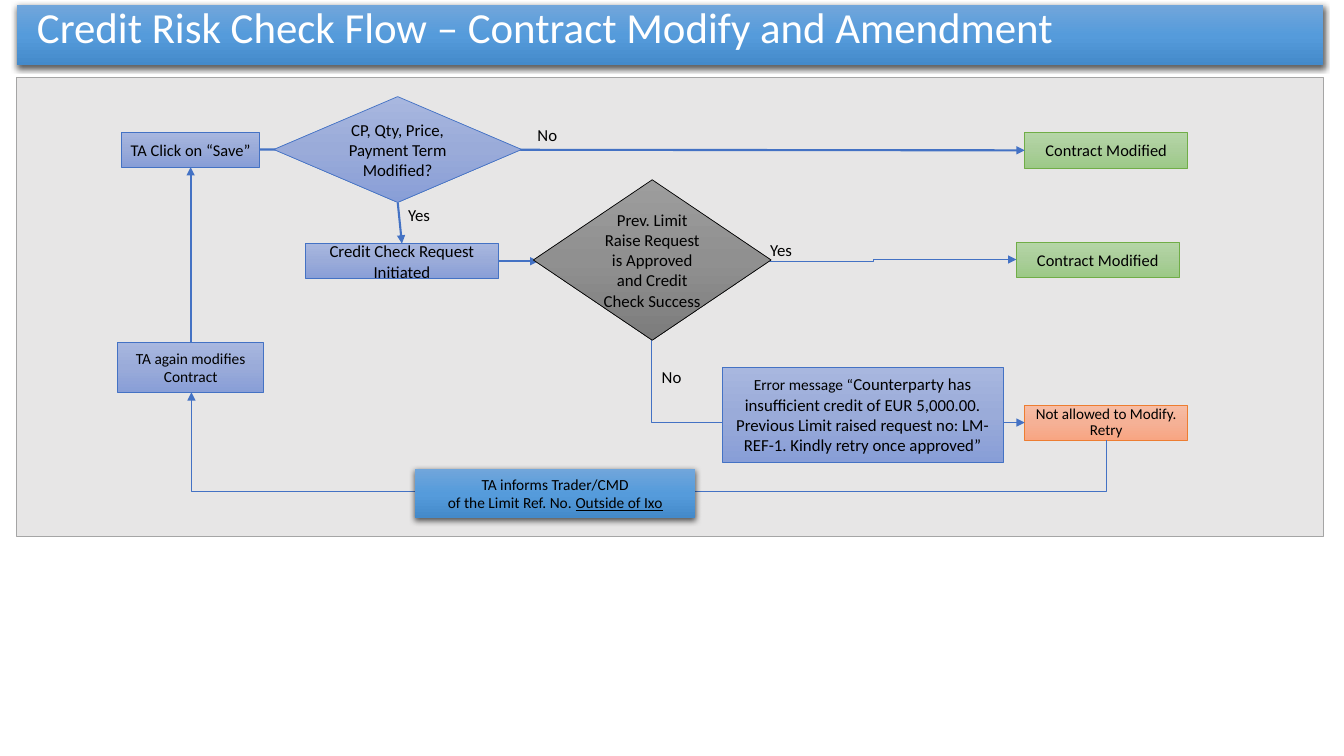
import copy
import typing
from dataclasses import dataclass

import lxml.etree
import pptx
import pptx.dml.color
import pptx.enum.shapes
import pptx.enum.text
import pptx.oxml.ns
import pptx.util

qn = pptx.oxml.ns.qn
SHAPE = pptx.enum.shapes.MSO_SHAPE
CONNECTOR = pptx.enum.shapes.MSO_CONNECTOR
ALIGN = pptx.enum.text.PP_ALIGN
ANCHOR = pptx.enum.text.MSO_ANCHOR
AUTO_SIZE = pptx.enum.text.MSO_AUTO_SIZE

# Grid of 160 columns by 90 rows, twelve to the inch
CELL = pptx.util.Inches(1) / 12
FONT = "Calibri"
BLUE_LINE = "4472C4"


class Palette(typing.NamedTuple):
    stops: tuple[str, str, str]
    line: str | None


PERIWINKLE = Palette(("A8B7DF", "9AABD9", "889ED7"), BLUE_LINE)
GREEN = Palette(("B5D5A7", "AACE9A", "9CC987"), "70AD47")
ORANGE = Palette(("F7BDA5", "F5B196", "F8A582"), "ED7D31")
GRAY = Palette(("9D9D9D", "909090", "7C7C7C"), "000000")
SKY = Palette(("71A6DB", "559BDB", "448ACA"), None)


class Run(typing.NamedTuple):
    text: str
    size: float | None = None
    underline: bool = False


@dataclass
class Step:
    name: str
    at: tuple[float, float, float, float]
    palette: Palette
    size: float
    paragraphs: list[list[Run]]
    diamond: bool = False
    shadow: bool = False
    spacing: float | None = None


@dataclass
class Label:
    text: str
    at: tuple[float, float]


class Side(typing.NamedTuple):
    step: str
    site: int


class Point(typing.NamedTuple):
    col: float
    row: float


@dataclass
class Arrow:
    start: Side | Point
    end: Side | Point


@dataclass
class Elbow:
    start: Point
    end: Point
    preset: str = "bentConnector3"
    turn: int = 0
    bend: float | None = None


def one(text: str) -> list[list[Run]]:
    return [[Run(text)]]


# Parts of the flow, from back to front
FLOW: list[Step | Label | Arrow | Elbow] = [
    Step("modified low", (121, 28.8, 19.4, 4.2), GREEN, 11.7, one("Contract Modified")),
    Step("save", (14.5, 15.7, 16.4, 4.2), PERIWINKLE, 11.7, one("TA Click on “Save”")),
    Step("refused", (122, 48.2, 19.4, 4.2), ORANGE, 10.8,
         one("Not allowed to Modify. Retry"), spacing=0.9),
    Step("modified top", (122, 15.8, 19.4, 4.2), GREEN, 11.7, one("Contract Modified")),
    Arrow(Side("save", 3), Side("modified top", 1)),
    Step("request", (36.4, 29, 22.9, 4.2), PERIWINKLE, 12, one("Credit Check Request Initiated")),
    Elbow(Point(87, 31.1), Point(121, 30.9)),
    Elbow(Point(77.6, 40.3), Point(122, 50.3), "bentConnector2", turn=270),
    Step("error", (86, 43.7, 33.4, 11.3), PERIWINKLE, 12, [[
        Run("Error message “", 11),
        Run("Counterparty has insufficient credit of EUR 5,000.00. Previous Limit raised "
            "request no: LM-REF-1. Kindly retry once approved”", 12)]]),
    Label("Yes", (90.5, 28)),
    Label("No", (77.6, 43.1)),
    Elbow(Point(131.7, 52.4), Point(22.8, 46.7), turn=90, bend=-1.06),
    Step("changed", (32.6, 11.5, 29.5, 12.6), PERIWINKLE, 12,
         one("CP, Qty, Price, Payment Term Modified?"), diamond=True),
    Label("No", (62.8, 14.3)),
    Arrow(Side("changed", 2), Side("request", 0)),
    Label("Yes", (47.4, 23.8)),
    Arrow(Side("request", 3), Point(64.1, 31.1)),
    Step("approved", (63.5, 21.4, 28.3, 19.1), GRAY, 12,
         one("Prev. Limit Raise Request is Approved and Credit Check Success"), diamond=True),
    Step("inform", (49.4, 55.8, 33.4, 5.9), SKY, 11, [
        [Run("TA informs Trader/CMD")],
        [Run("of the Limit Ref. No. "), Run("Outside of Ixo", underline=True)]], shadow=True),
    Step("again", (14, 40.8, 17.4, 5.9), PERIWINKLE, 11, one("TA again modifies Contract")),
    Arrow(Side("again", 0), Side("save", 2)),
]


def grid(*cells: float) -> list[int]:
    return [round(c * CELL) for c in cells]


def color(hex_value: str) -> pptx.dml.color.RGBColor:
    return pptx.dml.color.RGBColor.from_string(hex_value)


def paint(sp, palette: Palette, shadow: bool) -> None:
    """Vertical three-stop gradient, thin outline and optional drop shadow."""
    sp.fill.gradient()
    sp.fill.gradient_angle = 270
    stops = sp._element.spPr.find(".//" + qn("a:gsLst"))
    stops.insert(1, copy.deepcopy(stops[0]))
    for i, stop in enumerate(sp.fill.gradient_stops):
        stop.position = i / 2
        stop.color.rgb = color(palette.stops[i])
    if palette.line:
        sp.line.color.rgb = color(palette.line)
        sp.line.width = pptx.util.Pt(0.5)
    else:
        sp.line.fill.background()
    sp.shadow.inherit = False
    if shadow:
        effects = sp._element.spPr.find(qn("a:effectLst"))
        outer = lxml.etree.SubElement(effects, qn("a:outerShdw"), blurRad="57150",
                                      dist="19050", dir="5400000", rotWithShape="0")
        black = lxml.etree.SubElement(outer, qn("a:srgbClr"), val="000000")
        lxml.etree.SubElement(black, qn("a:alpha"), val="63000")


def style(p, size: float | None, hex_value: str, align) -> None:
    p.alignment = align
    p.font.name = FONT
    p.font.color.rgb = color(hex_value)
    if size:
        p.font.size = pptx.util.Pt(size)


def inset(tf, left: float, top: float, right: float, bottom: float) -> None:
    tf.margin_left, tf.margin_top, tf.margin_right, tf.margin_bottom = map(
        pptx.util.Inches, (left, top, right, bottom))


def draw_step(shapes, step: Step):
    sp = shapes.add_shape(SHAPE.DIAMOND if step.diamond else SHAPE.RECTANGLE, *grid(*step.at))
    paint(sp, step.palette, step.shadow)
    tf = sp.text_frame
    tf.word_wrap = True
    tf.vertical_anchor = ANCHOR.MIDDLE
    if not step.diamond:
        inset(tf, 0, 0, 0, 0)
    for i, runs in enumerate(step.paragraphs):
        p = tf.add_paragraph() if i else tf.paragraphs[0]
        mixed = any(run.size for run in runs)
        style(p, None if mixed else step.size, "000000", ALIGN.CENTER)
        if step.spacing:
            p.line_spacing = step.spacing
        for run in runs:
            r = p.add_run()
            r.text = run.text
            if run.size:
                r.font.size = pptx.util.Pt(run.size)
            if run.underline:
                r.font.underline = True
    return sp


def draw_label(shapes, label: Label) -> None:
    tf = shapes.add_textbox(*grid(*label.at, 13.1, 3.6)).text_frame
    tf.word_wrap = True
    tf.auto_size = AUTO_SIZE.SHAPE_TO_FIT_TEXT
    tf.text = label.text
    style(tf.paragraphs[0], 12, "000000", ALIGN.LEFT)


def finish_line(line, width: float) -> None:
    line.line.color.rgb = color(BLUE_LINE)
    line.line.width = pptx.util.Pt(width)
    spPr = line._element.spPr
    lxml.etree.SubElement(spPr.find(qn("a:ln")), qn("a:tailEnd"), type="triangle")
    lxml.etree.SubElement(spPr, qn("a:effectLst"))


def draw_arrow(shapes, arrow: Arrow, steps: dict) -> None:
    ends = [grid(*e) if isinstance(e, Point) else [0, 0] for e in (arrow.start, arrow.end)]
    line = shapes.add_connector(CONNECTOR.STRAIGHT, *ends[0], *ends[1])
    for end, connect in ((arrow.start, line.begin_connect), (arrow.end, line.end_connect)):
        if isinstance(end, Side):
            connect(steps[end.step], end.site)
    finish_line(line, 1.5)


def draw_elbow(shapes, elbow: Elbow) -> None:
    (x1, y1), (x2, y2) = elbow.start, elbow.end
    if elbow.turn:  # a turned connector is boxed with its sides swapped
        x, y = (x1 + x2) / 2, (y1 + y2) / 2
        w, h = abs(y2 - y1), abs(x2 - x1)
        x1, y1, x2, y2 = x - w / 2, y - h / 2, x + w / 2, y + h / 2
    line = shapes.add_connector(CONNECTOR.ELBOW, *grid(x1, y1, x2, y2))
    spPr = line._element.spPr
    geometry = spPr.find(qn("a:prstGeom"))
    geometry.set("prst", elbow.preset)
    if elbow.turn:
        xfrm = spPr.find(qn("a:xfrm"))
        xfrm.set("rot", str(elbow.turn * 60000))
        xfrm.set("flipH", "1")
    if elbow.bend is not None:
        lxml.etree.SubElement(geometry.find(qn("a:avLst")), qn("a:gd"), name="adj1",
                              fmla=f"val {round(elbow.bend * 100000)}")
    finish_line(line, 0.5)


def draw_title(sp, text: str) -> None:
    sp.left, sp.top, sp.width, sp.height = grid(2, 0.6, 155.5, 7.2)
    paint(sp, SKY, shadow=True)
    tf = sp.text_frame
    tf.text = text
    tf.word_wrap = True
    tf.auto_size = AUTO_SIZE.NONE
    tf.vertical_anchor = ANCHOR.MIDDLE
    inset(tf, 0.2, 0.05, 0.2, 0.16)
    style(tf.paragraphs[0], 30.6, "FFFFFF", ALIGN.LEFT)
    tf.paragraphs[0].line_spacing = 0.9


def main() -> None:
    prs = pptx.Presentation()
    prs.slide_width, prs.slide_height = grid(160, 90)
    s = prs.slides.add_slide(prs.slide_layouts[5])
    draw_title(s.shapes.title, "Credit Risk Check Flow – Contract Modify and Amendment")

    # Panel behind the flow
    panel = s.shapes.add_shape(SHAPE.RECTANGLE, *grid(2, 9.2, 155.5, 54.6))
    panel.shadow.inherit = False
    panel.fill.solid()
    panel.fill.fore_color.rgb = color("E7E6E6")
    panel.line.color.rgb = color("A5A5A5")
    panel.line.width = pptx.util.Pt(0.5)

    steps: dict = {}
    for part in FLOW:
        if isinstance(part, Step):
            steps[part.name] = draw_step(s.shapes, part)
        elif isinstance(part, Label):
            draw_label(s.shapes, part)
        elif isinstance(part, Arrow):
            draw_arrow(s.shapes, part, steps)
        else:
            draw_elbow(s.shapes, part)
    prs.save("out.pptx")


if __name__ == "__main__":
    main()
